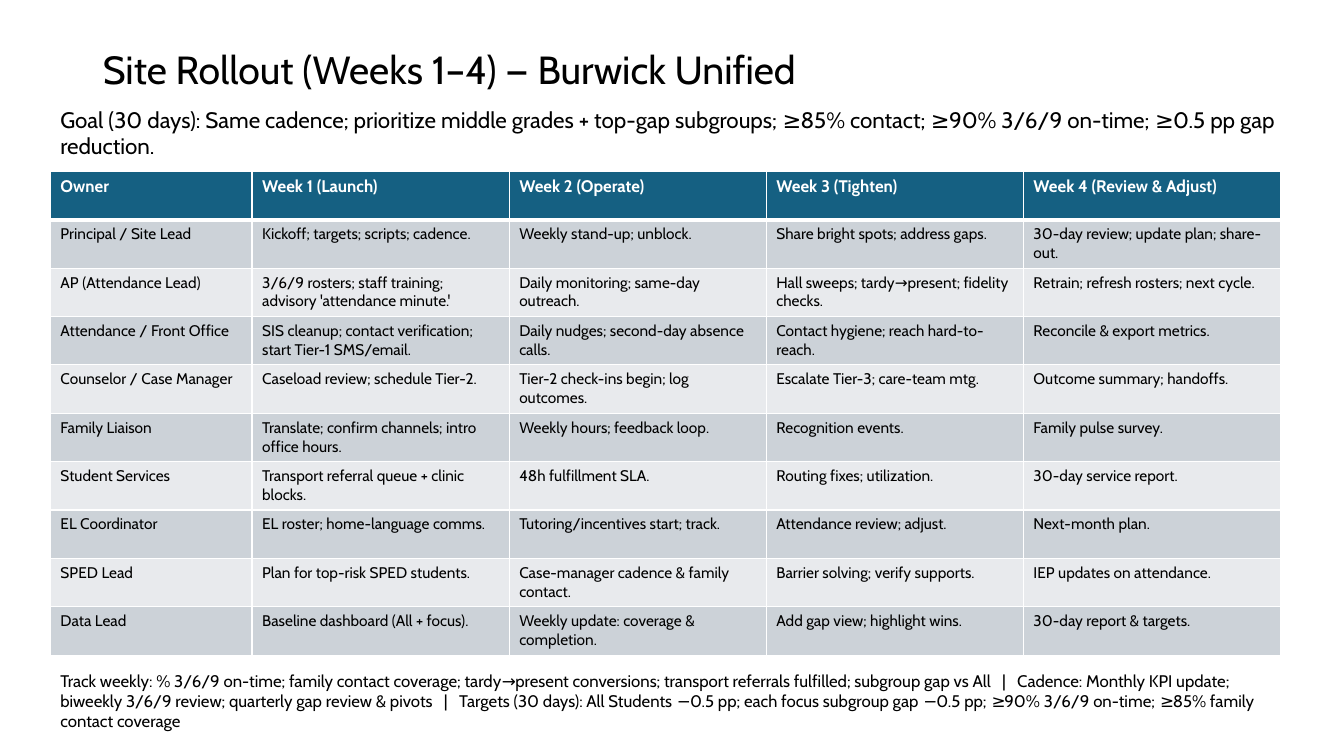
import pptx
import pptx.dml.color
import pptx.enum.text
import pptx.oxml
import pptx.oxml.ns
import pptx.util

PX = 9144  # 100 px to the inch
FONT = "Cabin"
COLORS = {
    "text": "000000",
    "white": "FFFFFF",
    "header": "156082",
    "band_dark": "CCD2D8",
    "band_light": "E8EAED",
}

TITLE = "Site Rollout (Weeks 1–4) — Burwick Unified"
GOAL = (
    "Goal (30 days): Same cadence; prioritize middle grades + top-gap subgroups; "
    "≥85% contact; ≥90% 3/6/9 on-time; ≥0.5 pp gap reduction."
)
TRACKING = (
    "Track weekly: % 3/6/9 on-time; family contact coverage; tardy→present conversions; "
    "transport referrals fulfilled; subgroup gap vs All   |   Cadence: Monthly KPI update; "
    "biweekly 3/6/9 review; quarterly gap review & pivots   |   Targets (30 days): "
    "All Students −0.5 pp; each focus subgroup gap −0.5 pp; ≥90% 3/6/9 on-time; "
    "≥85% family contact coverage"
)
ROLLOUT = [
    ["Owner", "Week 1 (Launch)", "Week 2 (Operate)", "Week 3 (Tighten)",
     "Week 4 (Review & Adjust)"],
    ["Principal / Site Lead", "Kickoff; targets; scripts; cadence.",
     "Weekly stand-up; unblock.", "Share bright spots; address gaps.",
     "30-day review; update plan; share-out."],
    ["AP (Attendance Lead)", "3/6/9 rosters; staff training; advisory 'attendance minute.'",
     "Daily monitoring; same-day outreach.", "Hall sweeps; tardy→present; fidelity checks.",
     "Retrain; refresh rosters; next cycle."],
    ["Attendance / Front Office", "SIS cleanup; contact verification; start Tier-1 SMS/email.",
     "Daily nudges; second-day absence calls.", "Contact hygiene; reach hard-to-reach.",
     "Reconcile & export metrics."],
    ["Counselor / Case Manager", "Caseload review; schedule Tier-2.",
     "Tier-2 check-ins begin; log outcomes.", "Escalate Tier-3; care-team mtg.",
     "Outcome summary; handoffs."],
    ["Family Liaison", "Translate; confirm channels; intro office hours.",
     "Weekly hours; feedback loop.", "Recognition events.", "Family pulse survey."],
    ["Student Services", "Transport referral queue + clinic blocks.",
     "48h fulfillment SLA.", "Routing fixes; utilization.", "30-day service report."],
    ["EL Coordinator", "EL roster; home-language comms.",
     "Tutoring/incentives start; track.", "Attendance review; adjust.", "Next-month plan."],
    ["SPED Lead", "Plan for top-risk SPED students.",
     "Case-manager cadence & family contact.", "Barrier solving; verify supports.",
     "IEP updates on attendance."],
    ["Data Lead", "Baseline dashboard (All + focus).",
     "Weekly update: coverage & completion.", "Add gap view; highlight wins.",
     "30-day report & targets."],
]


def color(name):
    return pptx.dml.color.RGBColor.from_string(COLORS[name])


def emu(box):
    return [length * PX for length in box]


def write(para, text, size, color_name="text", bold=False):
    para.alignment = pptx.enum.text.PP_ALIGN.LEFT
    span = para.add_run()
    span.text = text
    span.font.name = FONT
    span.font.size = pptx.util.Pt(size)
    span.font.bold = bold
    span.font.color.rgb = color(color_name)


def add_title(page, box):
    title = page.shapes.title
    title.left, title.top, title.width, title.height = emu(box)
    frame = title.text_frame
    frame.auto_size = pptx.enum.text.MSO_AUTO_SIZE.NONE
    frame.vertical_anchor = pptx.enum.text.MSO_ANCHOR.MIDDLE
    frame.paragraphs[0].line_spacing = 0.9
    write(frame.paragraphs[0], TITLE, 28)


def add_note(page, box, text, size):
    frame = page.shapes.add_textbox(*emu(box)).text_frame
    frame.word_wrap = True
    frame.auto_size = pptx.enum.text.MSO_AUTO_SIZE.SHAPE_TO_FIT_TEXT
    write(frame.paragraphs[0], text, size)


def set_borders(cell, widths):
    """Draw white cell edges; widths maps an edge tag to points."""
    properties = cell._tc.get_or_add_tcPr()
    for place, (edge, width) in enumerate(widths.items()):
        line = pptx.oxml.parse_xml(
            f'<a:{edge} {pptx.oxml.ns.nsdecls("a")} w="{pptx.util.Pt(width)}"><a:solidFill>'
            f'<a:srgbClr val="{COLORS["white"]}"/></a:solidFill></a:{edge}>'
        )
        properties.insert(place, line)


def add_rollout_table(page, box, owner_width):
    row_count, column_count = len(ROLLOUT), len(ROLLOUT[0])
    table = page.shapes.add_table(row_count, column_count, *emu(box)).table
    week_width = (box[2] - owner_width) // (column_count - 1)
    for index, column in enumerate(table.columns):
        column.width = (week_width if index else owner_width) * PX
    for index, (row, texts) in enumerate(zip(table.rows, ROLLOUT)):
        row.height = box[3] // row_count * PX
        is_header = index == 0
        band = "header" if is_header else "band_dark" if index % 2 else "band_light"
        # The heavier rule lies between the header and the first owner
        widths = {"lnL": 1, "lnR": 1, "lnT": 3 if index == 1 else 1, "lnB": 3 if is_header else 1}
        for cell, text in zip(row.cells, texts):
            cell.fill.solid()
            cell.fill.fore_color.rgb = color(band)
            set_borders(cell, widths)
            write(cell.text_frame.paragraphs[0], text, 12 if is_header else 11,
                  "white" if is_header else "text", is_header)


def main():
    deck = pptx.Presentation()
    deck.slide_width, deck.slide_height = emu((1333, 750))
    page = deck.slides.add_slide(deck.slide_layouts.get_by_name("Title Only"))

    # Heading and goal
    add_title(page, (92, 40, 1150, 63))
    add_note(page, (50, 100, 1230, 64), GOAL, 16)

    # Weekly plan by owner
    add_rollout_table(page, (50, 170, 1220, 480), 200)

    # Tracking, cadence and targets
    add_note(page, (50, 660, 1230, 71), TRACKING, 12)

    deck.save("out.pptx")


if __name__ == "__main__":
    main()
